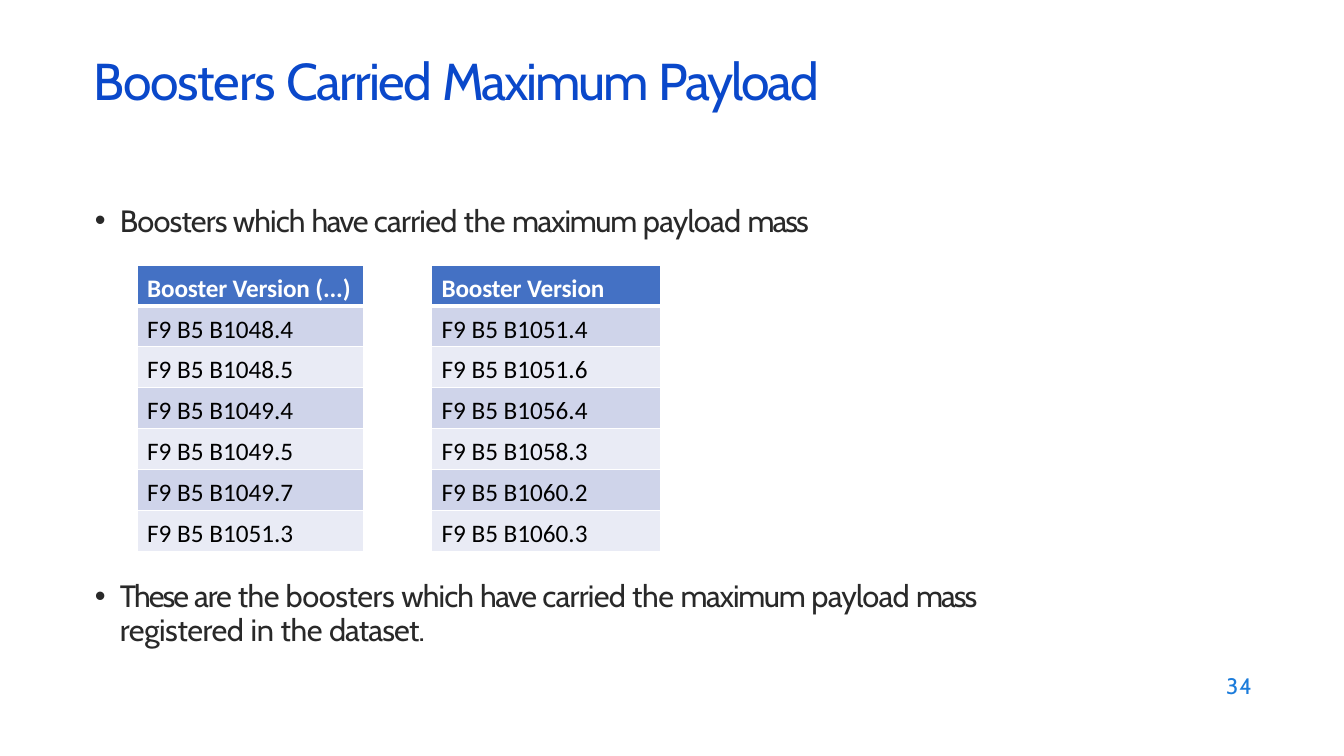
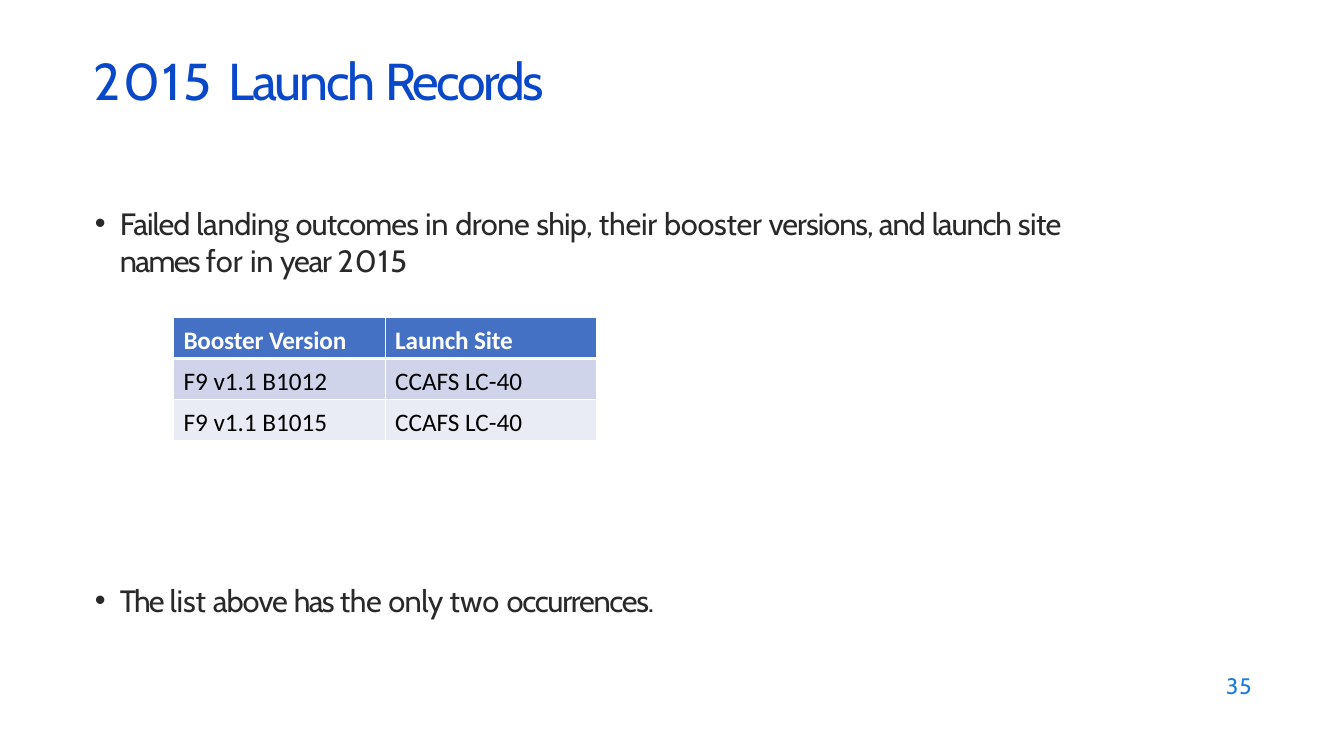
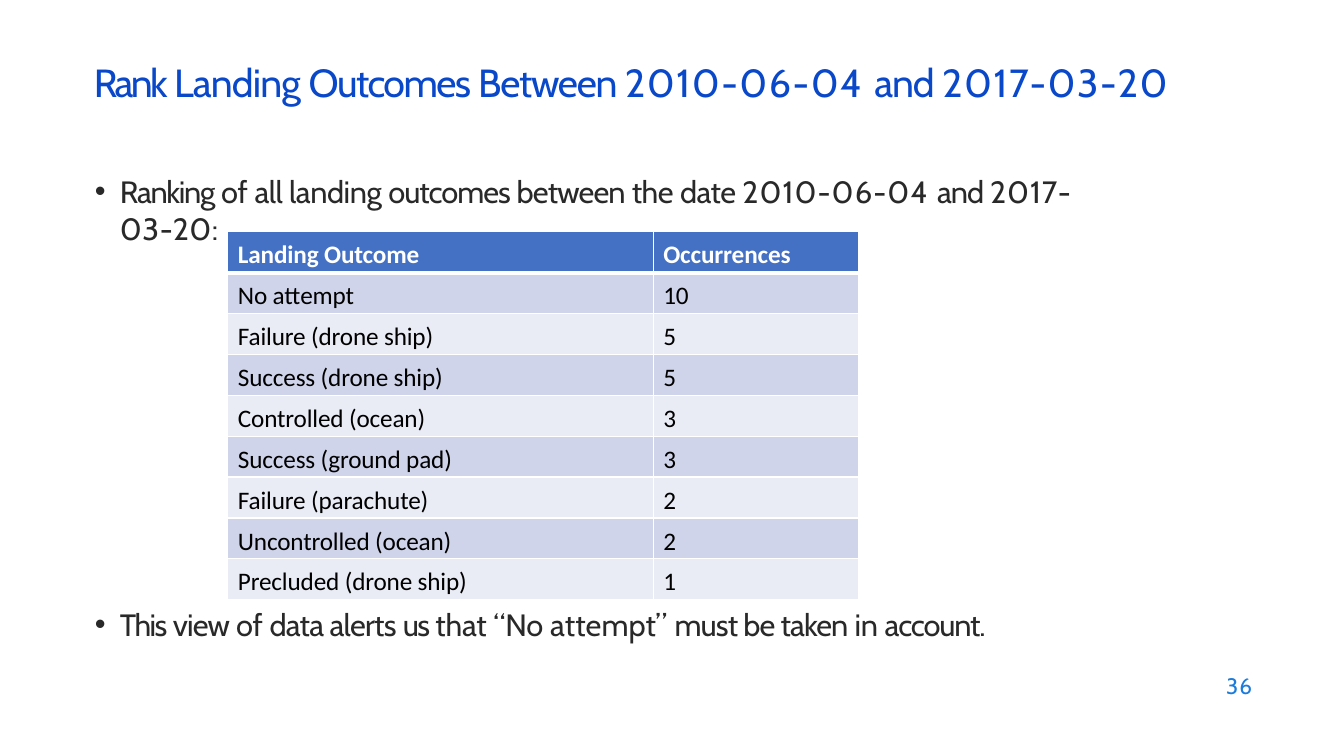
from pptx import Presentation
from pptx.dml.color import RGBColor
from pptx.enum.text import MSO_ANCHOR, MSO_AUTO_SIZE, PP_ALIGN
from pptx.oxml.ns import qn
from pptx.util import Inches, Pt
from lxml import etree

TOP, LEFT, NO_FIT = MSO_ANCHOR.TOP, PP_ALIGN.LEFT, MSO_AUTO_SIZE.NONE
TWO_CONTENT = 3
MARGIN_X = 0.93

# Shared text styles and table colours
TITLE = dict(name="Cabin", size=37, color="0A48CA", bold=False)
SMALL_TITLE = dict(TITLE, size=28)
BULLET = dict(name="Cabin", size=22, color="292929", bold=False)
PAGE_NO = dict(name="Cabin", size=16, color="1C7CDB", bold=False)
HEADER = dict(name="Calibri", size=18, color="FFFFFF", bold=True)
CELL = dict(HEADER, color="000000", bold=False)
HEADER_FILL, BAND_FILLS, RULE = "4471C4", ("CFD4EA", "E9EBF5"), "FFFFFF"


def rgb(value):
    return RGBColor.from_string(value)


def add_runs(p, runs, style):
    """Add (text, letter spacing in points) runs; a newline breaks the line."""
    for text, spacing in runs:
        if text == "\n":
            p.add_line_break()
            continue
        r = p.add_run()
        r.text = text
        formats = dict(style, size=Pt(style["size"]))
        r.font.color.rgb = rgb(formats.pop("color"))
        for name, value in formats.items():
            setattr(r.font, name, value)
        r.font._element.set("spc", str(round(spacing * 100)))


def fill_frame(sp, box, runs, style, inset=(0, 0.02), line_spacing=1.0):
    sp.left, sp.top, sp.width, sp.height = map(Inches, box)
    tf = sp.text_frame
    formats = dict(margin_left=Inches(inset[0]), margin_top=Inches(inset[1]),
                   margin_right=0, margin_bottom=0, word_wrap=True,
                   auto_size=NO_FIT, vertical_anchor=TOP)
    for name, value in formats.items():
        setattr(tf, name, value)
    p = tf.paragraphs[0]
    p.alignment, p.space_before, p.line_spacing = LEFT, Pt(0), line_spacing
    add_runs(p, runs, style)
    return p


def add_bullet(sp, top, width, height, runs, **layout):
    p = fill_frame(sp, (MARGIN_X, top, width, height), runs, BULLET, **layout)
    pPr = p._p.get_or_add_pPr()
    pPr.set("marL", str(Inches(0.26)))
    pPr.set("indent", str(Inches(-0.25)))
    etree.SubElement(pPr, qn("a:buFont")).set("typeface", "Arial")
    etree.SubElement(pPr, qn("a:buChar")).set("char", "•")


def set_borders(cell, top, bottom):
    tcPr = cell._tc.get_or_add_tcPr()
    sides = dict(lnL=1, lnR=1, lnT=top, lnB=bottom)
    for i, (side, width) in enumerate(sides.items()):
        ln = etree.Element(qn("a:" + side), w=str(Pt(width)))
        solid = etree.SubElement(ln, qn("a:solidFill"))
        etree.SubElement(solid, qn("a:srgbClr")).set("val", RULE)
        tcPr.insert(i, ln)


def add_table(slide, left, top, col_widths, height, rows, spacing=0):
    table = slide.shapes.add_table(
        len(rows), len(col_widths), Inches(left), Inches(top),
        Inches(sum(col_widths)), Inches(height)).table
    table.horz_banding = False
    for column, width in zip(table.columns, col_widths):
        column.width = Inches(width)
    for i, row in enumerate(rows):
        for j, text in enumerate(row):
            cell = table.cell(i, j)
            cell.margin_left, cell.margin_top = Inches(0.1), Inches(0.08)
            cell.margin_right = cell.margin_bottom = 0
            cell.fill.solid()
            cell.fill.fore_color.rgb = rgb(BAND_FILLS[(i - 1) % 2] if i else HEADER_FILL)
            # A thick rule separates the header from the body
            set_borders(cell, 3 if i == 1 else 1, 1 if i else 3)
            add_runs(cell.text_frame.paragraphs[0],
                     [(text, spacing if i else -0.1)], CELL if i else HEADER)


def add_slide(prs, number, title, title_box, style=TITLE):
    """Return the slide and its two body placeholders."""
    slide = prs.slides.add_slide(prs.slide_layouts[TWO_CONTENT])
    fill_frame(slide.shapes.title, title_box, title, style)
    page = slide.shapes.add_textbox(0, 0, 0, 0)
    fill_frame(page, (12.12, 6.68, 0.36, 0.28), [(str(number), 0.8)], PAGE_NO,
               inset=(0.04, 0), line_spacing=Pt(18.4))
    return slide, slide.placeholders[1], slide.placeholders[2]


def payload_slide(prs):
    slide, intro, finding = add_slide(
        prs, 34, [("Boosters ", -0.9), ("Carried ", -1.2), ("Maximum ", -1.6),
                  ("Payload", -1.4)], (MARGIN_X, 0.46, 7.81, 0.65))
    add_bullet(intro, 1.98, 7.64, 0.39, [
        ("Boosters which ", -0.6), ("have ", -1.1), ("carried ", -0.5), ("the ", -0.3),
        ("maximum ", -0.9), ("payload ", -0.5), ("mass", -1.4)])
    add_bullet(finding, 5.65, 9.48, 0.73, [
        ("These ", -1.4), ("are ", -0.8), ("the boosters ", -0.3), ("which ", -0.6),
        ("have ", -1.1), ("carried ", -0.5), ("the ", -0.3), ("maximum ", -0.9),
        ("payload ", -0.5), ("mass ", -1.4), ("registered ", -0.3), ("in ", -0.2),
        ("the ", -0.3), ("dataset.", -0.6)], inset=(0, 0.11), line_spacing=Pt(23.8))
    versions = (
        (1.36, 2.25, "Booster Version (...)",
         ("1048.4", "1048.5", "1049.4", "1049.5", "1049.7", "1051.3")),
        (4.28, 2.27, "Booster Version",
         ("1051.4", "1051.6", "1056.4", "1058.3", "1060.2", "1060.3")))
    for left, width, header, serials in versions:
        rows = [(header,)] + [("F9 B5 B" + serial,) for serial in serials]
        add_table(slide, left, 2.63, [width], 2.84, rows)


def launch_slide(prs):
    slide, intro, finding = add_slide(
        prs, 35, [("2015 ", 1.8), ("Launch ", -1.6), ("Records", -1.8)],
        (MARGIN_X, 0.46, 4.89, 0.65))
    add_bullet(intro, 2.01, 10.41, 0.76, [
        ("Failed ", -0.7), ("landing ", -0.3), ("outcomes ", -0.6), ("in ", -0.2),
        ("drone ", -0.3), ("ship, ", -0.6), ("their ", -0.1), ("booster ", -0.2),
        ("versions, and ", -0.7), ("launch ", -0.8), ("site ", -0.4), ("names ", -1.2),
        ("for ", 0.1), ("in ", -0.2), ("year ", -0.9), ("2015", 0.9)])
    add_bullet(finding, 5.75, 6.05, 0.39, [
        ("The ", -1.4), ("list ", -0.1), ("above ", -0.7), ("has ", -1.2), ("the ", -0.3),
        ("only ", -0.4), ("two ", 0.1), ("occurrences.", -0.9)])
    add_table(slide, 1.72, 3.15, [2.1, 2.1], 1.22, [
        ("Booster Version", "Launch Site"),
        ("F9 v1.1 B1012", "CCAFS LC-40"),
        ("F9 v1.1 B1015", "CCAFS LC-40")])


def outcome_slide(prs):
    slide, intro, finding = add_slide(
        prs, 36, [("Rank ", -1.8), ("Landing ", -0.6), ("Outcomes ", -1.1),
                  ("Between ", -0.9), ("2010-06-04 ", 1.1), ("and ", -0.8),
                  ("2017-03-20", 1.1)], (MARGIN_X, 0.56, 10.85, 0.49), SMALL_TITLE)
    add_bullet(intro, 1.69, 10.09, 0.76, [
        ("Ranking ", -0.9), ("of ", -0.1), ("all ", -0.4), ("landing ", -0.3),
        ("outcomes ", -0.7), ("between ", -0.6), ("the ", -0.3), ("date ", -0.4),
        ("2010-06-04 ", 0.8), ("and ", -0.7), ("2017-", 0.7), ("\n", 0), ("03-20:", 0.4)])
    add_bullet(finding, 5.99, 9.51, 0.39, [
        ("This ", -1.1), ("view ", -0.6), ("of ", -0.1), ("data alerts ", -0.5),
        ("us ", -1.1), ("that “No ", -0.1), ("attempt” ", 0.1), ("must be taken ", -0.6),
        ("in ", -0.2), ("account.", -0.8)])
    add_table(slide, 2.26, 2.3, [4.22, 2.04], 3.65, [
        ("Landing Outcome", "Occurrences"),
        ("No attempt", "10"),
        ("Failure (drone ship)", "5"),
        ("Success (drone ship)", "5"),
        ("Controlled (ocean)", "3"),
        ("Success (ground pad)", "3"),
        ("Failure (parachute)", "2"),
        ("Uncontrolled (ocean)", "2"),
        ("Precluded (drone ship)", "1")], spacing=-0.1)


def main():
    prs = Presentation()
    prs.slide_width, prs.slide_height = Inches(13.33), Inches(7.5)
    payload_slide(prs)
    launch_slide(prs)
    outcome_slide(prs)
    prs.save("out.pptx")


if __name__ == "__main__":
    main()
